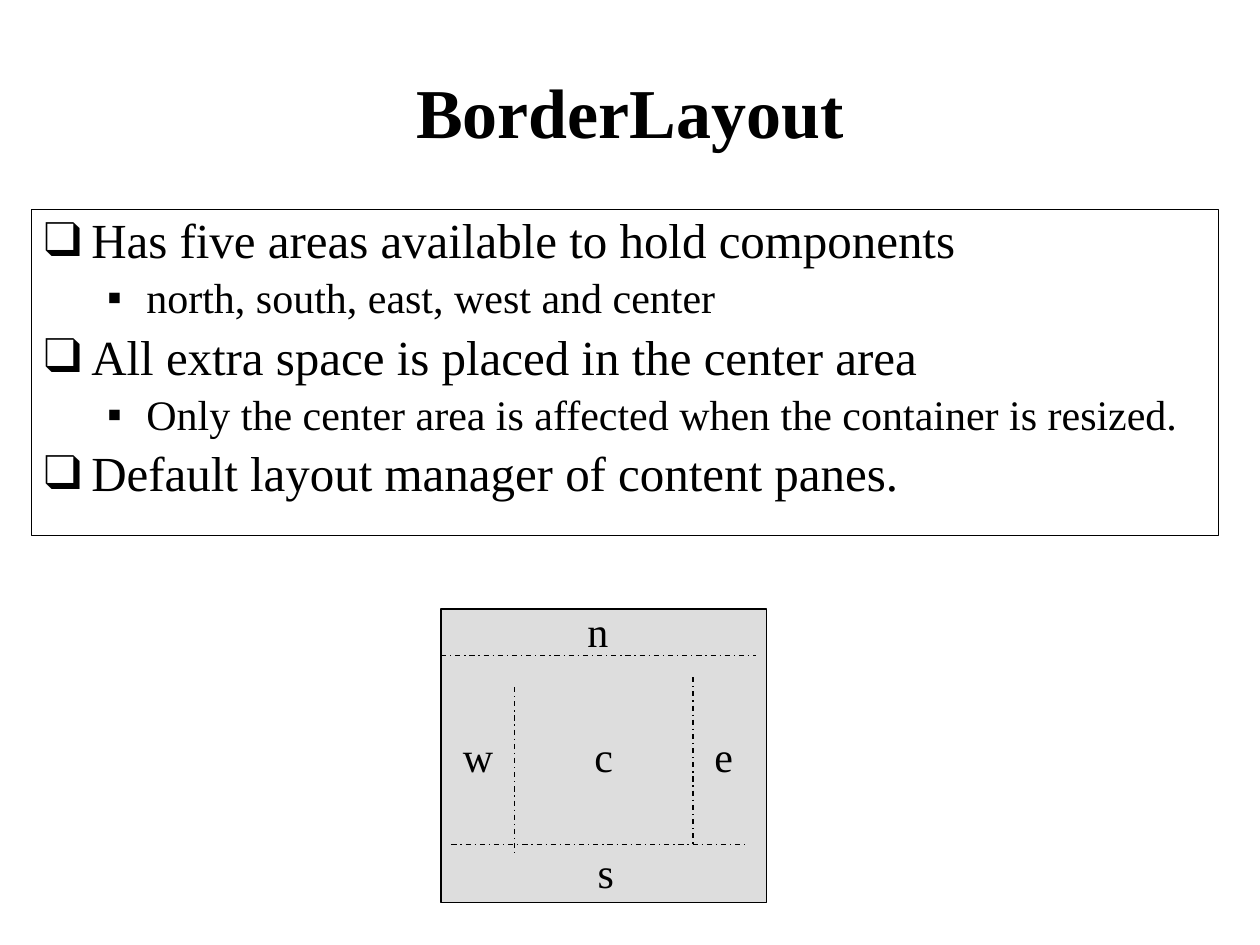
from lxml.etree import SubElement
from pptx import Presentation
from pptx.dml.color import RGBColor
from pptx.enum.dml import MSO_LINE_DASH_STYLE as Dash
from pptx.enum.shapes import MSO_CONNECTOR as Connector, MSO_SHAPE as Preset
from pptx.enum.text import MSO_ANCHOR as Anchor, MSO_AUTO_SIZE as AutoSize, PP_ALIGN as Align
from pptx.oxml.ns import qn
from pptx.util import Cm, Pt

FONT = "Times New Roman"
BLACK, GRAY = "000000", "DDDDDD"

TITLE = "BorderLayout"
BULLETS = [
    (0, "Has five areas available to hold components"),
    (1, "north, south, east, west and center"),
    (0, "All extra space is placed in the center area"),
    (1, "Only the center area is affected when the container is resized."),
    (0, "Default layout manager of content panes."),
]
LEVELS = [
    {"size": 28, "bullet": "❑", "margin": 0.95, "indent": -0.95, "before": 5.6},
    {"size": 24, "bullet": "▪", "margin": 2.06, "indent": -0.79, "before": 4.8},
]

TITLE_BOX = (1.9, 0.64, 21.6, 3.18)
BODY_BOX = (0.64, 4.23, 23.92, 6.56)
CONTAINER_BOX = (8.89, 12.28, 6.56, 5.92)
DIVIDERS = [
    (8.89, 13.22, 15.24, 13.22),
    (9.1, 17.02, 15.03, 17.02),
    (10.37, 13.85, 10.37, 17.25),
    (13.97, 13.65, 13.97, 17.02),
]
AREA_LABELS = [
    ("s", 11.8, 16.93, 0.85),
    ("e", 14.15, 14.6, 0.89),
    ("w", 9.08, 14.6, 1.11),
    ("n", 11.59, 12.07, 0.95),
]
LABEL_HEIGHT = 1.27


def color(value):
    return RGBColor.from_string(value)


def apply(target, values):
    for name, value in values.items():
        setattr(target, name, value)


def place(shape, box):
    apply(shape, dict(zip(("left", "top", "width", "height"), map(Cm, box))))


def outline(line, dash=None):
    line.color.rgb = color(BLACK)
    line.width = Pt(0.75)
    if dash:
        line.dash_style = dash


def frame(shape, anchor=Anchor.TOP, wrap=True):
    apply(shape.text_frame, {
        "auto_size": AutoSize.NONE, "word_wrap": wrap, "vertical_anchor": anchor,
        "margin_left": Cm(0.25), "margin_right": Cm(0.25),
        "margin_top": Cm(0.13), "margin_bottom": Cm(0.13),
    })
    return shape.text_frame


def write(paragraph, text, size, bold=False, align=Align.LEFT):
    paragraph.alignment = align
    run = paragraph.add_run()
    run.text = text
    apply(run.font, {"name": FONT, "size": Pt(size), "bold": bold})
    run.font.color.rgb = color(BLACK)


def add_bullet(paragraph, level):
    properties = paragraph._p.get_or_add_pPr()
    properties.set("marL", str(Cm(level["margin"])))
    properties.set("indent", str(Cm(level["indent"])))
    bullet_color = SubElement(properties, qn("a:buClr"))
    SubElement(bullet_color, qn("a:srgbClr"), val=BLACK)
    SubElement(properties, qn("a:buFont"), typeface=FONT)
    SubElement(properties, qn("a:buChar"), char=level["bullet"])


def fill_body(body):
    place(body, BODY_BOX)
    outline(body.line)
    text_frame = frame(body)
    for index, (depth, text) in enumerate(BULLETS):
        level = LEVELS[depth]
        paragraph = text_frame.add_paragraph() if index else text_frame.paragraphs[0]
        add_bullet(paragraph, level)
        apply(paragraph, {
            "level": depth, "line_spacing": 0.9,
            "space_before": Pt(level["before"] if index else 0),
        })
        write(paragraph, text, level["size"])


def draw_container(shapes):
    container = shapes.add_shape(Preset.RECTANGLE, *map(Cm, CONTAINER_BOX))
    container.shadow.inherit = False
    container.fill.solid()
    container.fill.fore_color.rgb = color(GRAY)
    outline(container.line)
    write(frame(container, Anchor.MIDDLE).paragraphs[0], "c", 24, align=Align.CENTER)

    for ends in DIVIDERS:
        divider = shapes.add_connector(Connector.STRAIGHT, *map(Cm, ends))
        outline(divider.line, Dash.DASH_DOT)
        SubElement(divider._element.spPr, qn("a:effectLst"))

    for text, left, top, width in AREA_LABELS:
        label = shapes.add_textbox(*map(Cm, (left, top, width, LABEL_HEIGHT)))
        write(frame(label, wrap=False).paragraphs[0], text, 24)


def main():
    presentation = Presentation()
    apply(presentation, {"slide_width": Cm(25.4), "slide_height": Cm(19.05)})
    slide = presentation.slides.add_slide(presentation.slide_layouts[1])
    title, body = slide.placeholders
    place(title, TITLE_BOX)
    title_frame = frame(title, Anchor.MIDDLE)
    write(title_frame.paragraphs[0], TITLE, 40, bold=True, align=Align.CENTER)
    fill_body(body)
    draw_container(slide.shapes)
    presentation.save("out.pptx")


if __name__ == "__main__":
    main()
